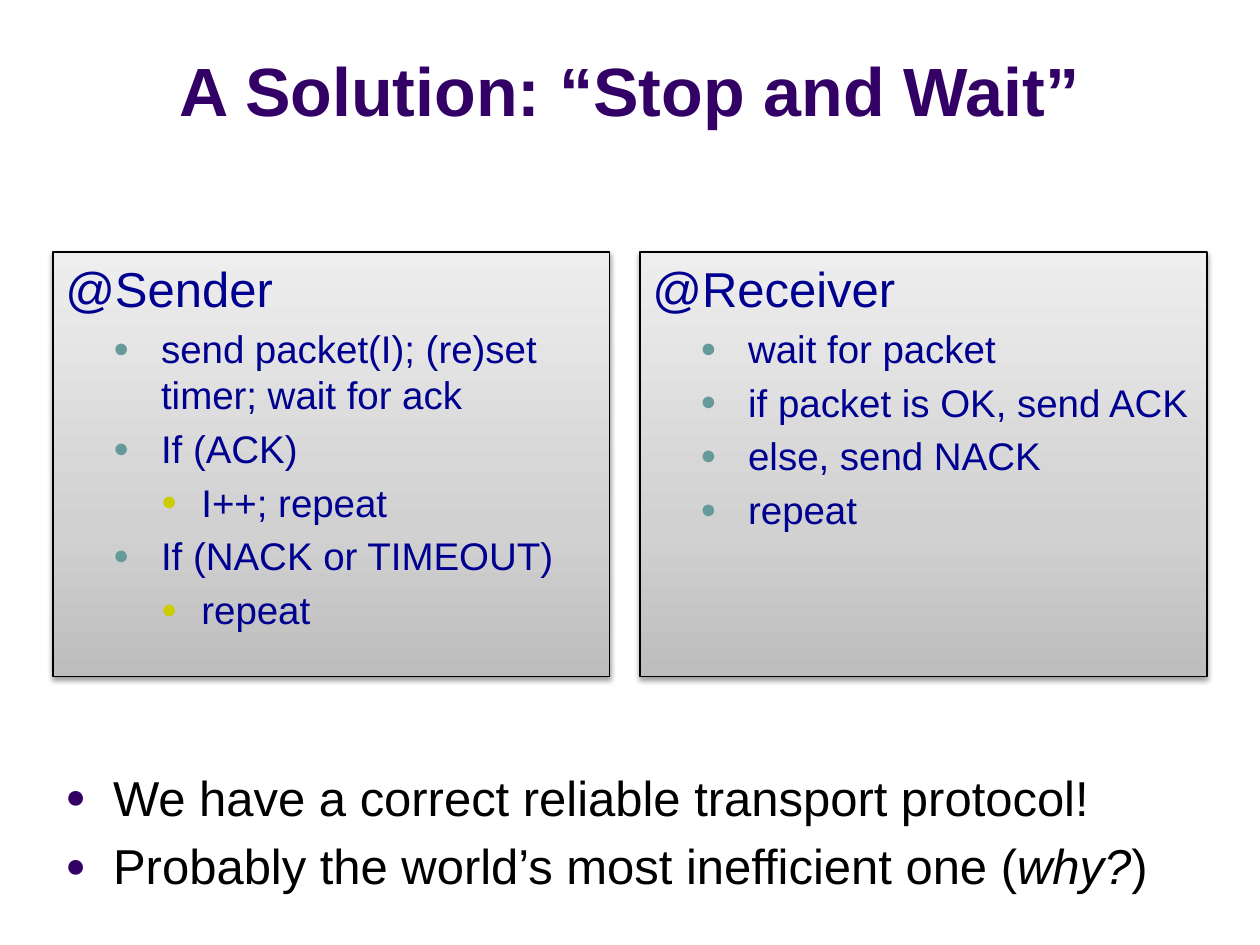
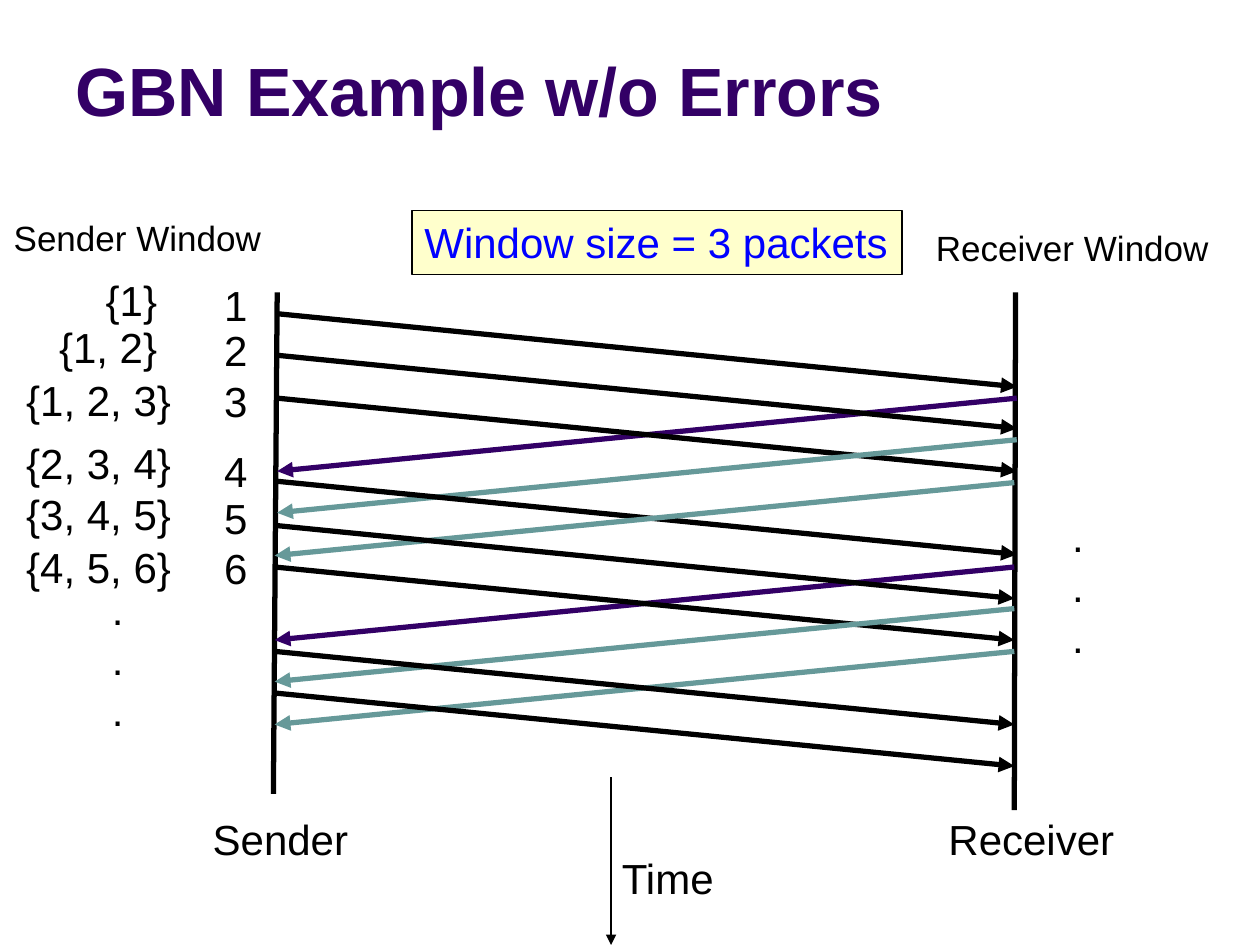
from copy import deepcopy

from lxml import etree
from pptx import Presentation
from pptx import util as u
from pptx.dml.color import RGBColor
from pptx.enum import shapes, text
from pptx.oxml.ns import qn

PX = 9144
FONT = "Arial"
BLACK, PURPLE, TEAL, OLIVE = "000000", "330066", "669999", "CCCC00"
NAVY, BLUE, CREAM = "000090", "0000FF", "FFFFCC"
PANEL_STOPS = [(0, "BDBDBD"), (35, "D1D1D1"), (100, "EEEEEE")]
BULLETS = {0: (38, 38, PURPLE), 1: (76, 38, TEAL), 2: (108, 32, OLIVE)}
CENTER = text.PP_ALIGN.CENTER
LEFT = text.PP_ALIGN.LEFT

SENDER_STEPS = [
    (1, "send packet(I); (re)set timer; wait for ack"),
    (1, "If (ACK)"),
    (2, "I++; repeat"),
    (1, "If (NACK or TIMEOUT)"),
    (2, "repeat"),
]
RECEIVER_STEPS = [
    (1, "wait for packet"),
    (1, "if packet is OK, send ACK"),
    (1, "else, send NACK"),
    (1, "repeat"),
]
WINDOWS = [
    ("{1}", 74, 213, 61, 217),
    ("{1, 2}", 37, 250, 102, 253),
    ("{1, 2, 3}", 11, 292, 140, 293),
    ("{2, 3, 4}", 11, 342, 140, 349),
    ("{3, 4, 5}", 11, 383, 140, 386),
    ("{4, 5, 6}", 11, 425, 140, 426),
]
MESSAGES = [
    ("packet", 249), ("first ack", 316), ("packet", 282), ("packet", 316),
    ("ack", 349), ("packet", 382), ("ack", 383), ("first ack", 450),
    ("packet", 417), ("packet", 450), ("ack", 483), ("ack", 517),
    ("packet", 517), ("packet", 550),
]
MESSAGE_COLORS = {"packet": BLACK, "first ack": PURPLE, "ack": TEAL}
MESSAGE_DROP = 58


def px(*lengths):
    return [u.Emu(n * PX) for n in lengths]


def rgb(color):
    return RGBColor.from_string(color)


def format_runs(p, size, color, bold=False):
    for r in p.runs:
        r.font.name = FONT
        r.font.size = u.Pt(size)
        r.font.bold = bold
        r.font.color.rgb = rgb(color)


def add_bullet(p, level):
    indent, hang, color = BULLETS[level]
    p.level = level
    pPr = p._p.get_or_add_pPr()
    pPr.set("marL", str(indent * PX))
    pPr.set("indent", str(-hang * PX))
    bu_clr = etree.SubElement(pPr, qn("a:buClr"))
    etree.SubElement(bu_clr, qn("a:srgbClr"), val=color)
    etree.SubElement(pPr, qn("a:buSzPct"), val="70000")
    etree.SubElement(pPr, qn("a:buFont"), typeface=FONT)
    etree.SubElement(pPr, qn("a:buChar"), char="●")


def add_titled_slide(prs, title, align):
    s = prs.slides.add_slide(prs.slide_layouts[5])
    sp = s.shapes.title
    sp.left, sp.top, sp.width, sp.height = px(50, 13, 900, 95)
    tf = sp.text_frame
    tf.text = title
    tf.word_wrap = True
    tf.auto_size = text.MSO_AUTO_SIZE.NONE
    tf.vertical_anchor = text.MSO_ANCHOR.BOTTOM
    p = tf.paragraphs[0]
    p.alignment = align
    format_runs(p, 39, PURPLE, bold=True)
    return s


def add_box(s, box, fill=None):
    sp = s.shapes.add_shape(shapes.MSO_SHAPE.RECTANGLE, *px(*box))
    sp.shadow.inherit = False
    sp.line.color.rgb = rgb(BLACK)
    sp.line.width = u.Pt(0.75)
    if fill:
        sp.fill.solid()
        sp.fill.fore_color.rgb = rgb(fill)
    return sp


def shade_panel(sp):
    sp.fill.gradient()
    sp.fill.gradient_angle = 90
    spPr = sp._element.spPr
    stops = spPr.find(".//" + qn("a:gsLst"))
    for old in list(stops):
        stops.remove(old)
    for pos, color in PANEL_STOPS:
        gs = etree.SubElement(stops, qn("a:gs"), pos=str(pos * 1000))
        etree.SubElement(gs, qn("a:srgbClr"), val=color)
    shadow = etree.SubElement(
        spPr.find(qn("a:effectLst")), qn("a:outerShdw"),
        blurRad="39370", dist="20320", dir="5400000", rotWithShape="0")
    clr = etree.SubElement(shadow, qn("a:srgbClr"), val=BLACK)
    etree.SubElement(clr, qn("a:alpha"), val="38000")


def add_panel(s, box, heading, steps):
    sp = add_box(s, box)
    shade_panel(sp)
    tf = sp.text_frame
    tf.word_wrap = True
    tf.vertical_anchor = text.MSO_ANCHOR.TOP
    tf.text = "\n".join([heading] + [step for _, step in steps])
    levels = [0] + [level for level, _ in steps]
    for p, level in zip(tf.paragraphs, levels):
        size = 22 if level else 28
        p.alignment = LEFT
        p.space_before = u.Pt(0.2 * size)
        if level:
            add_bullet(p, level)
        format_runs(p, size, NAVY)


def add_conclusions(s, box, lines):
    tf = s.shapes.add_textbox(*px(*box)).text_frame
    tf.word_wrap = True
    tf.text = "\n".join(lines)
    for p in tf.paragraphs:
        p.space_before = u.Pt(5.6)
        add_bullet(p, 0)
    p = tf.paragraphs[-1]
    for words, italic in (("why?", True), (")", False)):
        r = p.add_run()
        r.text = words
        r.font.italic = italic
    for p in tf.paragraphs:
        format_runs(p, 28, BLACK)


def fill_label(sp, words, size=24, color=BLACK, align=LEFT):
    tf = sp.text_frame
    tf.word_wrap = False
    tf.auto_size = text.MSO_AUTO_SIZE.SHAPE_TO_FIT_TEXT
    tf.vertical_anchor = text.MSO_ANCHOR.TOP
    tf.text = words
    for p in tf.paragraphs:
        p.alignment = align
        format_runs(p, size, color)
    return tf


def add_label(s, box, words, **style):
    return fill_label(s.shapes.add_textbox(*px(*box)), words, **style)


def add_caption(s, box, words):
    tf = add_label(s, box, words, align=CENTER)
    tf.vertical_anchor = text.MSO_ANCHOR.MIDDLE
    tf.paragraphs[0].space_before = u.Pt(4.8)


def add_line(s, ends, color=BLACK, width=3, arrow=True):
    cxn = s.shapes.add_connector(shapes.MSO_CONNECTOR.STRAIGHT, *px(*ends))
    cxn.line.color.rgb = rgb(color)
    cxn.line.width = u.Pt(width)
    if arrow:
        etree.SubElement(cxn.line._get_or_add_ln(), qn("a:tailEnd"), type="triangle")
    etree.SubElement(cxn._element.spPr, qn("a:effectLst"))


def add_message(s, kind, y):
    sender_x, receiver_x = (220, 807) if y < 383 else (218, 805)
    start, end = sender_x, receiver_x
    if kind != "packet":
        start, end = end, start
    add_line(s, (start, y, end, y + MESSAGE_DROP), MESSAGE_COLORS[kind])


def build_stop_and_wait(prs):
    s = add_titled_slide(prs, "A Solution: “Stop and Wait”", CENTER)
    add_conclusions(s, (42, 604, 900, 113), [
        "We have a correct reliable transport protocol!",
        "Probably the world’s most inefficient one (",
    ])
    add_panel(s, (42, 200, 442, 337), "@Sender", SENDER_STEPS)
    add_panel(s, (508, 200, 450, 337), "@Receiver", RECEIVER_STEPS)


def build_gbn_example(prs):
    s = add_titled_slide(prs, "GBN Example w/o Errors", LEFT)
    add_line(s, (485, 617, 485, 750), width=1)
    add_caption(s, (483, 672, 94, 50), "Time")
    size_box = add_box(s, (327, 167, 389, 51), CREAM)
    fill_label(size_box, "Window size = 3 packets", color=BLUE)
    add_line(s, (220, 232, 217, 630), arrow=False)
    add_line(s, (806, 232, 805, 643), arrow=False)
    for kind, y in MESSAGES:
        add_message(s, kind, y)
    add_caption(s, (158, 641, 129, 50), "Sender")
    add_caption(s, (742, 641, 153, 50), "Receiver")
    add_label(s, (1, 167, 228, 43), "Sender Window", size=20)
    add_label(s, (733, 175, 250, 43), "Receiver Window", size=20)
    for number, (window, x, y, width, number_y) in enumerate(WINDOWS, 1):
        add_label(s, (x, y, width, 50), window)
        add_label(s, (168, number_y, 37, 49), str(number))
    for x, y in ((79, 458), (841, 400)):
        add_label(s, (x, y, 29, 131), ".\n.\n.")


def main():
    prs = Presentation()
    prs.slide_width, prs.slide_height = px(1000, 750)
    build_stop_and_wait(prs)
    build_gbn_example(prs)
    prs.save("out.pptx")


if __name__ == "__main__":
    main()
